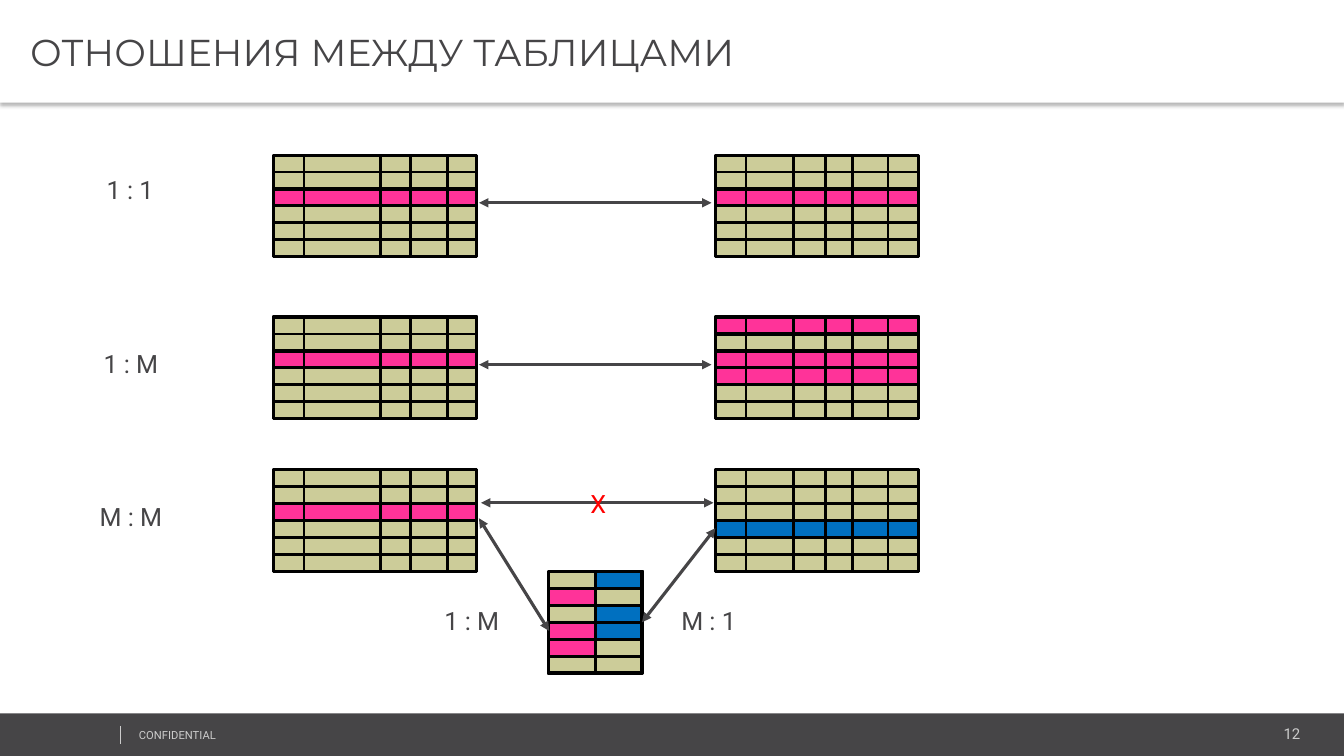
import pptx
import pptx.dml.color
import pptx.enum.shapes
import pptx.enum.text
import pptx.oxml
import pptx.oxml.ns
import pptx.util

Cm = pptx.util.Cm
Pt = pptx.util.Pt
ALIGN = pptx.enum.text.PP_ALIGN
ANCHOR = pptx.enum.text.MSO_ANCHOR

# Content; lengths in cm
TITLE = "ОТНОШЕНИЯ МЕЖДУ ТАБЛИЦАМИ"
DARK, GREY, BLACK, WHITE = "464547", "CCCCCC", "000000", "FFFFFF"
SAND, PINK, BLUE, RED = "CCCC99", "FF3399", "0070C0", "FF0000"

ROWS = 6
TABLE_HEIGHT = 2.56
# Kinds of table: left edge, then the offsets of the column borders
LEFT_TABLE = (6.9, (0, 0.76, 2.69, 3.45, 4.37, 5.11))
RIGHT_TABLE = (18.04, (0, 0.76, 1.96, 2.77, 3.45, 4.34, 5.11))
LINK_TABLE = (13.82, (0, 1.18, 2.36))

# Kind, top, highlights as (row, first column, end column, colour)
TABLES = [
    (LEFT_TABLE, 3.91, [(2, 0, 5, PINK)]),
    (RIGHT_TABLE, 3.91, [(2, 0, 6, PINK)]),
    (LEFT_TABLE, 7.99, [(2, 0, 5, PINK)]),
    (RIGHT_TABLE, 7.99, [(row, 0, 6, PINK) for row in (0, 2, 3)]),
    (LEFT_TABLE, 11.84, [(2, 0, 5, PINK)]),
    (RIGHT_TABLE, 11.84, [(3, 0, 6, BLUE)]),
    (LINK_TABLE, 14.4, [(row, 0, 1, PINK) for row in (1, 3, 4)]
     + [(row, 1, 2, BLUE) for row in (0, 2, 3)]),
]

# Start and end points
ARROWS = [
    (12.07, 5.11, 17.93, 5.11),
    (12.07, 9.19, 17.93, 9.19),
    (12.12, 12.67, 17.98, 12.67),
    (12.07, 13.06, 13.84, 15.9),
]
LINK_ARROW = (18.03, 13.31, 16.18, 15.68)

# Text, left, top, width, colour
LABELS = [
    ("1 : 1", 2.44, 4.27, 1.93, DARK),
    ("1 : M", 2.36, 8.66, 2.11, DARK),
    ("M : M", 2.26, 12.5, 2.26, DARK),
    ("X", 14.63, 12.19, 0.97, RED),
    ("1 : M", 10.95, 15.14, 2.11, DARK),
    ("M : 1", 16.92, 15.14, 2.11, DARK),
]


def color(value):
    return pptx.dml.color.RGBColor.from_string(value)


def add_xml(parent, xml):
    namespace = pptx.oxml.ns.nsdecls("a")
    parent.append(pptx.oxml.parse_xml(xml.replace(" ", f" {namespace} ", 1)))


def add_box(left, top, width, height, fill=None, border=None):
    shape = slide.shapes.add_shape(pptx.enum.shapes.MSO_SHAPE.RECTANGLE,
                                   Cm(left), Cm(top), Cm(width), Cm(height))
    shape.shadow.inherit = False
    if fill:
        shape.fill.solid()
        shape.fill.fore_color.rgb = color(fill)
    else:
        shape.fill.background()
    if border:
        shape.line.color.rgb = color(border)
        shape.line.width = Pt(2.25)
    else:
        shape.line.fill.background()
    return shape


def add_line(x1, y1, x2, y2, line_color=BLACK, width=2, arrows=False):
    line = slide.shapes.add_connector(pptx.enum.shapes.MSO_CONNECTOR.STRAIGHT,
                                      Cm(x1), Cm(y1), Cm(x2), Cm(y2))
    line.line.color.rgb = color(line_color)
    line.line.width = Pt(width)
    if arrows:
        outline = line.line._get_or_add_ln()
        add_xml(outline, '<a:headEnd type="triangle"/>')
        add_xml(outline, '<a:tailEnd type="triangle"/>')
    add_xml(line._element.spPr, "<a:effectLst />")
    return line


def format_text(shape, text, size, font_color, font="Roboto", align=ALIGN.LEFT):
    shape.text_frame.text = text
    paragraph = shape.text_frame.paragraphs[0]
    paragraph.alignment = align
    paragraph.font.name = font
    paragraph.font.size = Pt(size)
    paragraph.font.color.rgb = color(font_color)


def add_text(text, left, top, width, height, size, font_color,
             align=ALIGN.LEFT, wrap=True):
    box = slide.shapes.add_textbox(Cm(left), Cm(top), Cm(width), Cm(height))
    box.text_frame.word_wrap = wrap
    format_text(box, text, size, font_color, align=align)


def draw_table(kind, top, highlights):
    left, columns = kind
    width = columns[-1]
    row_height = TABLE_HEIGHT / ROWS
    add_box(left, top, width, TABLE_HEIGHT, SAND, BLACK)
    for row, first, end, fill in highlights:
        add_box(left + columns[first], top + row * row_height,
                columns[end] - columns[first], row_height, fill, BLACK)
    for offset in columns[1:-1]:
        add_line(left + offset, top, left + offset, top + TABLE_HEIGHT)
    for row in range(1, ROWS):
        y = top + row * row_height
        add_line(left, y, left + width, y)
    return add_box(left, top, width, TABLE_HEIGHT, border=BLACK)


presentation = pptx.Presentation()
presentation.slide_width = Cm(33.87)
presentation.slide_height = Cm(19.05)
slide = presentation.slides.add_slide(presentation.slide_layouts[5])

# Footer
add_box(0, 17.98, 33.87, 1.07, DARK)
add_text("12", 27.48, 18.14, 5.54, 0.71, 10.7, GREY, ALIGN.RIGHT)
add_text("CONFIDENTIAL", 3.25, 18.24, 8.59, 0.61, 8, GREY)
add_line(3.02, 18.29, 3.02, 18.75, GREY, 0.25)

# Title bar with a soft shadow
title = slide.shapes.title
title.left, title.top, title.width, title.height = Cm(0), Cm(0), Cm(33.87), Cm(2.59)
title.fill.solid()
title.fill.fore_color.rgb = color(WHITE)
add_xml(title._element.spPr,
        '<a:effectLst ><a:outerShdw blurRad="39370" dist="25400" dir="5400000">'
        '<a:srgbClr val="000000"><a:alpha val="30000"/></a:srgbClr>'
        '</a:outerShdw></a:effectLst>')
frame = title.text_frame
frame.auto_size = pptx.enum.text.MSO_AUTO_SIZE.NONE
frame.vertical_anchor = ANCHOR.MIDDLE
frame.margin_left, frame.margin_right = Cm(0.76), Cm(0.18)
frame.margin_top = frame.margin_bottom = Cm(0.1)
format_text(title, TITLE, 26.7, DARK, "Montserrat")

# Tables; the last one is the link table
for kind, top, highlights in TABLES:
    table_outline = draw_table(kind, top, highlights)

# Relations
for points in ARROWS:
    add_line(*points, DARK, 2.25, arrows=True)
link_arrow = add_line(*LINK_ARROW, DARK, 2.25, arrows=True)
link_arrow.end_connect(table_outline, 3)

# Labels
for text, left, top, width, font_color in LABELS:
    add_text(text, left, top, width, 1.02, 18, font_color, wrap=False)

presentation.save("out.pptx")
